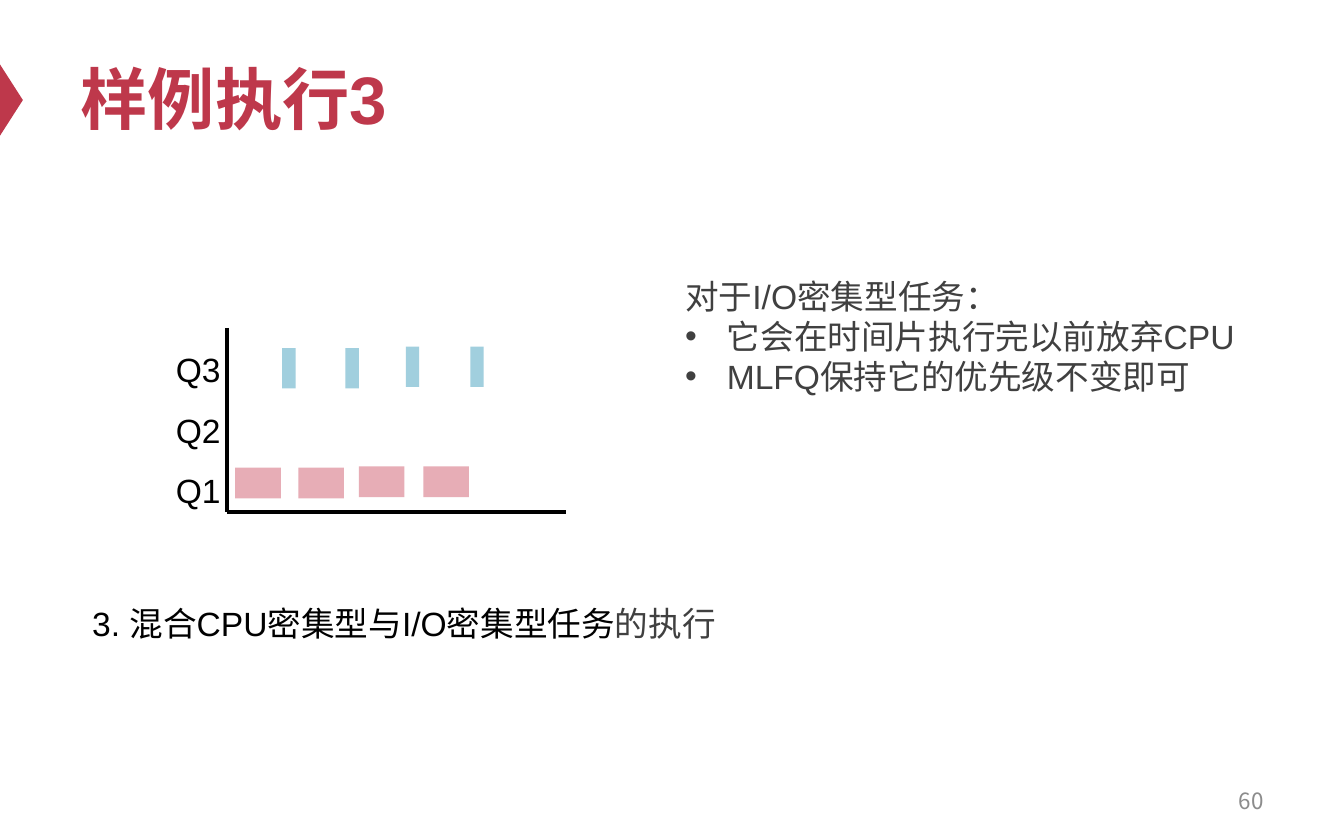
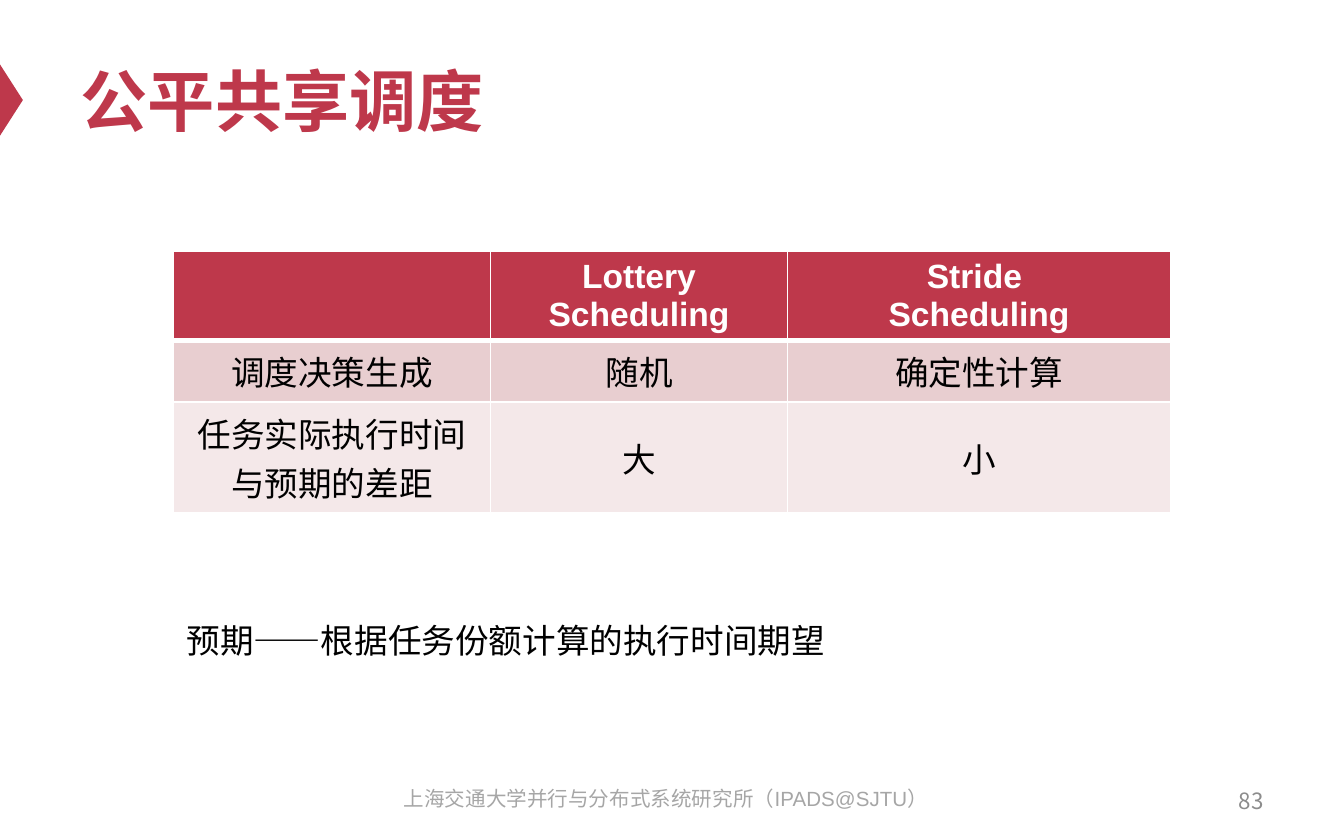
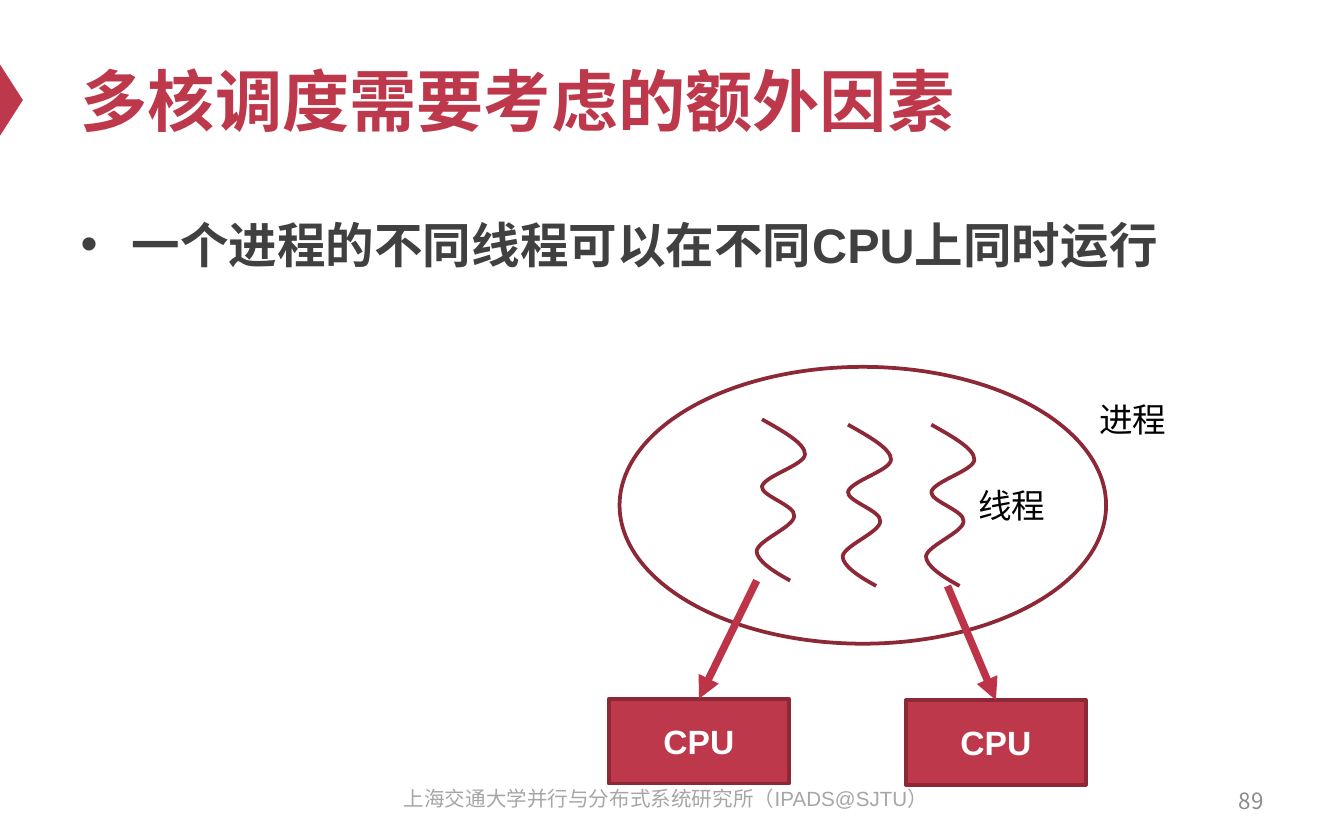
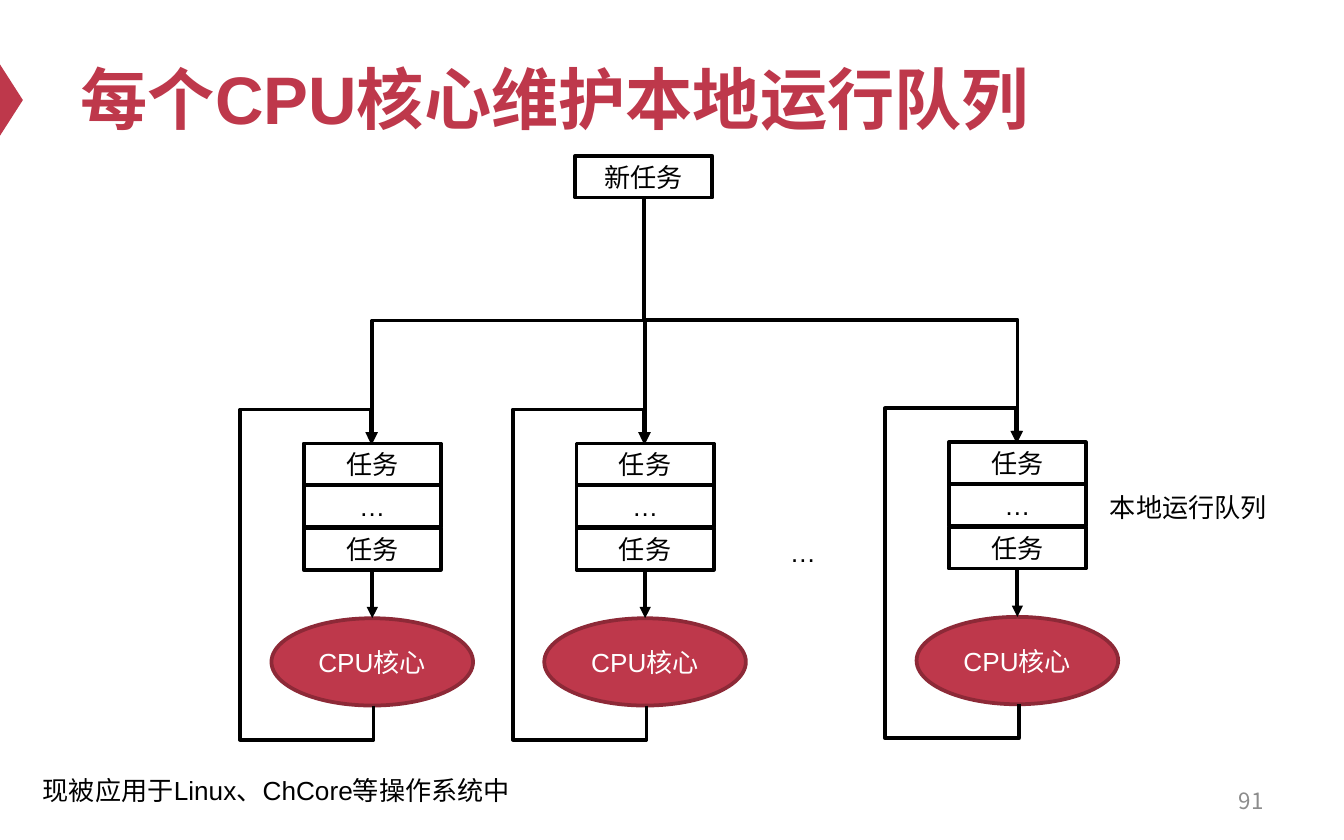
from lxml import etree
from pptx import Presentation
from pptx.dml.color import RGBColor
from pptx.enum.shapes import MSO_CONNECTOR, MSO_SHAPE
from pptx.enum.text import MSO_ANCHOR, MSO_AUTO_SIZE, PP_ALIGN
from pptx.oxml.ns import qn
from pptx.util import Inches, Pt

# Style shared by all slides
RED = RGBColor(0xBE, 0x38, 0x4B)
ARROW_RED = RGBColor(0xBD, 0x33, 0x47)
DARK_RED = RGBColor(0x8D, 0x29, 0x37)
PINK = RGBColor(0xE7, 0xAD, 0xB6)
BLUE = RGBColor(0xA1, 0xCF, 0xDE)
ROW_FILLS = [RED, RGBColor(0xE8, 0xCE, 0xD0), RGBColor(0xF4, 0xE8, 0xE9)]
WHITE = RGBColor(0xFF, 0xFF, 0xFF)
BLACK = RGBColor(0, 0, 0)
TEXT_GRAY = RGBColor(0x40, 0x40, 0x40)
FOOTER_GRAY = RGBColor(0xA6, 0xA6, 0xA6)
NUMBER_GRAY = RGBColor(0x8C, 0x8C, 0x8C)
LATIN_FONT = "Arial"
CHINESE_FONT = "Noto Sans CJK SC"
FOOTER = "上海交通大学并行与分布式系统研究所（IPADS@SJTU）"

LEFT, CENTER, RIGHT = PP_ALIGN.LEFT, PP_ALIGN.CENTER, PP_ALIGN.RIGHT
TOP, MIDDLE = MSO_ANCHOR.TOP, MSO_ANCHOR.MIDDLE
RECTANGLE, OVAL = MSO_SHAPE.RECTANGLE, MSO_SHAPE.OVAL
TRIANGLE = MSO_SHAPE.ISOSCELES_TRIANGLE
STRAIGHT, ELBOW = MSO_CONNECTOR.STRAIGHT, MSO_CONNECTOR.ELBOW
NO_AUTOFIT = MSO_AUTO_SIZE.NONE
CONTENT_LAYOUT, TITLE_LAYOUT = 1, 5


def add_xml(parent, tag, **attributes):
    return etree.SubElement(parent, qn(tag), attributes)


def write(frame, paragraphs, size=18, color=BLACK, bold=False, font=LATIN_FONT,
          align=LEFT, anchor=TOP, spacing=None, bullets_from=None, indent=0.31):
    """Each paragraph is a string or a list of (text, colour) spans."""
    frame.word_wrap = True
    frame.auto_size = NO_AUTOFIT
    frame.vertical_anchor = anchor
    for index, spans in enumerate(paragraphs):
        para = frame.add_paragraph() if index else frame.paragraphs[0]
        if bullets_from is not None and index >= bullets_from:
            properties = para._p.get_or_add_pPr()
            properties.set("marL", str(Inches(indent)))
            properties.set("indent", str(-Inches(indent)))
            add_xml(properties, "a:buFont", typeface=LATIN_FONT)
            add_xml(properties, "a:buChar", char="•")
        para.alignment = align
        para.space_before = Pt(0)
        if spacing:
            para.line_spacing = spacing
        if isinstance(spans, str):
            spans = [(spans, color)]
        for text, span_color in spans:
            span = para.add_run()
            span.text = text
            span.font.size = Pt(size)
            span.font.bold = bold
            span.font.color.rgb = span_color
            span.font.name = font
            add_xml(span._r.get_or_add_rPr(), "a:ea", typeface=CHINESE_FONT)


def set_borders(cell, bottom_width):
    properties = cell._tc.get_or_add_tcPr()
    widths = {"a:lnL": 1, "a:lnR": 1, "a:lnT": 1, "a:lnB": bottom_width}
    for position, (tag, width) in enumerate(widths.items()):
        border = etree.Element(qn(tag), w=str(Pt(width)))
        add_xml(add_xml(border, "a:solidFill"), "a:srgbClr", val=str(WHITE))
        properties.insert(position, border)


class Deck:
    def __init__(self):
        self.file = Presentation()
        self.file.slide_width, self.file.slide_height = Inches(10), Inches(6.25)
        self.page = None

    def new_page(self, title, number, title_top=0.25, title_height=0.98,
                 footer=True, layout=TITLE_LAYOUT):
        first = self.page is None
        self.page = self.file.slides.add_slide(self.file.slide_layouts[layout])
        if first:
            self.mark_master()
        self.placeholder(0, 0.5, title_top, 9, title_height, [title], size=36,
                         color=RED, bold=True, anchor=MIDDLE)
        self.text(7.17, 5.79, 2.33, 0.33, [str(number)], size=12, color=NUMBER_GRAY,
                  font=CHINESE_FONT, align=RIGHT, anchor=MIDDLE)
        if footer:
            self.text(2.79, 5.8, 4.33, 0.33, [FOOTER], size=11,
                      color=FOOTER_GRAY, align=CENTER)

    def mark_master(self):
        """Move the red title marker to the master, which all slides share."""
        marker = self.shape(TRIANGLE, -0.18, 0.66, 0.53, 0.17, fill=RED)
        marker.rotation = 90
        self.file.slide_master.shapes.element.append(marker.element)

    def placeholder(self, index, x, y, width, height, paragraphs, **style):
        box = self.page.placeholders[index]
        box.left, box.top = Inches(x), Inches(y)
        box.width, box.height = Inches(width), Inches(height)
        write(box.text_frame, paragraphs, **style)

    def text(self, x, y, width, height, paragraphs, **style):
        box = self.page.shapes.add_textbox(Inches(x), Inches(y),
                                           Inches(width), Inches(height))
        write(box.text_frame, paragraphs, **style)

    def paint(self, shape, fill=None, line=None):
        shape.shadow.inherit = False
        if fill is None:
            shape.fill.background()
        else:
            shape.fill.solid()
            shape.fill.fore_color.rgb = fill
        if line is None:
            shape.line.fill.background()
        else:
            shape.line.color.rgb = line
            shape.line.width = Pt(2)

    def shape(self, kind, x, y, width, height, fill=None, line=None, label=None, **style):
        shape = self.page.shapes.add_shape(kind, Inches(x), Inches(y),
                                           Inches(width), Inches(height))
        self.paint(shape, fill, line)
        if label:
            write(shape.text_frame, [label], align=CENTER, anchor=MIDDLE, **style)
        return shape

    def line(self, start, end, color=BLACK, width=2, arrow=False, kind=STRAIGHT):
        line = self.page.shapes.add_connector(
            kind, *(Inches(value) for value in (*start, *end)))
        line.line.color.rgb = color
        line.line.width = Pt(width)
        properties = line.element.spPr
        if arrow:
            add_xml(properties.find(qn("a:ln")), "a:tailEnd", type="triangle")
        add_xml(properties, "a:effectLst")
        return line

    def elbow(self, start, end, bends=(0.5,)):
        """Arrow that leaves and arrives vertically: a turned, mirrored connector."""
        (x1, y1), (x2, y2) = start, end
        length, breadth = abs(y2 - y1), abs(x2 - x1)
        left, top = (x1 + x2 - length) / 2, (y1 + y2 - breadth) / 2
        line = self.line((left, top), (left + length, top + breadth),
                         arrow=True, kind=ELBOW)
        properties = line.element.spPr
        frame = properties.find(qn("a:xfrm"))
        rightward, upward = x2 > x1, y2 < y1
        frame.set("rot", str((270 if rightward else 90) * 60000))
        if rightward or upward:
            frame.set("flipH", "1")
        geometry = properties.find(qn("a:prstGeom"))
        geometry.set("prst", f"bentConnector{len(bends) + 2}")
        guides = geometry.find(qn("a:avLst"))
        if guides is None:
            guides = add_xml(geometry, "a:avLst")
        for number, bend in enumerate(bends, 1):
            add_xml(guides, "a:gd", name=f"adj{number}",
                    fmla=f"val {round(bend * 100000)}")

    def curve(self, x, y, start, points):
        """Cubic outline: every three points, relative to (x, y), form one segment."""
        builder = self.page.shapes.build_freeform(Inches(x + start[0]), Inches(y + start[1]))
        builder.add_line_segments([(Inches(x + px), Inches(y + py)) for px, py in points],
                                  close=False)
        shape = builder.convert_to_shape()
        self.paint(shape, line=DARK_RED)
        # Turn each three straight steps into one cubic segment
        steps = list(shape.element.iter(qn("a:lnTo")))
        for first in range(0, len(steps), 3):
            outline = steps[first].getparent()
            cubic = add_xml(outline, "a:cubicBezTo")
            for step in steps[first:first + 3]:
                cubic.append(step[0])
                outline.remove(step)

    def table(self, x, y, widths, row_height, rows):
        frame = self.page.shapes.add_table(
            len(rows), len(widths), Inches(x), Inches(y),
            Inches(sum(widths)), Inches(row_height * len(rows)))
        table = frame.table
        for column, width in zip(table.columns, widths):
            column.width = Inches(width)
        for row_index, row in enumerate(rows):
            header = row_index == 0
            for column_index, paragraphs in enumerate(row):
                cell = table.cell(row_index, column_index)
                cell.fill.solid()
                cell.fill.fore_color.rgb = ROW_FILLS[row_index]
                cell.vertical_anchor = MIDDLE
                set_borders(cell, bottom_width=3 if header else 1)
                if paragraphs:
                    write(cell.text_frame, paragraphs, bold=header, align=CENTER,
                          color=WHITE if header else BLACK, anchor=MIDDLE)


def mixed_tasks(deck):
    deck.new_page("样例执行3", 60, title_top=0.21, title_height=1.04, footer=False)
    deck.text(0.16, 4.38, 5.69, 0.7,
              [[("3. 混合CPU密集型与I/O密集型任务", BLACK), ("的执行", TEXT_GRAY)]],
              align=CENTER, spacing=1.2)
    deck.text(5, 2, 4.52, 1.01,
              ["对于I/O密集型任务：", "它会在时间片执行完以前放弃CPU", "MLFQ保持它的优先级不变即可"],
              color=TEXT_GRAY, bullets_from=1)
    # Queue timeline
    deck.text(1.21, 2.4, 0.6, 1.41, ["Q3", "Q2", "Q1"], spacing=1.5)
    origin = (1.69, 3.81)
    deck.line((1.69, 2.44), origin)
    deck.line(origin, (4.21, 3.81))
    for x, y in [(2.1, 2.59), (2.57, 2.59), (3.02, 2.58), (3.5, 2.58)]:
        deck.shape(RECTANGLE, x, y, 0.1, 0.3, fill=BLUE)
        deck.shape(RECTANGLE, x - 0.35, y + 0.89, 0.34, 0.23, fill=PINK)


def fair_share(deck):
    deck.new_page("公平共享调度", 83)
    deck.table(1.29, 1.87, [2.36, 2.21, 2.85], 0.41, [
        [[], ["Lottery", "Scheduling"], ["Stride ", "Scheduling"]],
        [["调度决策生成"], ["随机"], ["确定性计算"]],
        [["任务实际执行时间与预期的差距"], ["大"], ["小"]],
    ])
    deck.text(1.29, 4.56, 5.03, 0.4, ["预期——根据任务份额计算的执行时间期望"])


def multicore_factors(deck):
    deck.new_page("多核调度需要考虑的额外因素", 89, layout=CONTENT_LAYOUT)
    deck.placeholder(1, 0.5, 1.46, 9, 4.12, ["一个进程的不同线程可以在不同CPU上同时运行"],
                     size=26, color=TEXT_GRAY, bold=True, spacing=1.2,
                     bullets_from=0, indent=0.38)
    # Process with its threads
    deck.shape(OVAL, 4.61, 2.73, 3.62, 2.06, fill=WHITE, line=DARK_RED)
    wave = [
        (0.2, 0.09), (0.36, 0.18), (0.36, 0.26),
        (0.36, 0.34), (0.06, 0.42), (0.04, 0.5),
        (0.03, 0.57), (0.29, 0.64), (0.28, 0.72),
        (0.28, 0.8), (0.01, 0.9), (0, 0.98),
        (0, 1.05), (0.12, 1.13), (0.25, 1.2),
    ]
    for x, y in [(5.63, 3.12), (6.27, 3.16), (6.89, 3.16)]:
        deck.curve(x, y, (0.04, 0), wave)
    deck.text(8.08, 2.92, 0.79, 0.4, ["进程"])
    deck.text(7.18, 3.56, 0.79, 0.4, ["线程"])
    # Processors
    for x, y, start, end in [(4.53, 5.2, (5.63, 4.32), (5.2, 5.2)),
                             (6.74, 5.21, (7.05, 4.36), (7.41, 5.21))]:
        deck.shape(RECTANGLE, x, y, 1.34, 0.63, fill=RED, line=DARK_RED,
                   label="CPU", color=WHITE, bold=True)
        deck.line(start, end, color=ARROW_RED, width=4, arrow=True)


def local_queues(deck):
    deck.new_page("每个CPU核心维护本地运行队列", 91, title_top=0.21, title_height=1.04,
                  footer=False)
    box_width, box_height = 1.02, 0.31
    deck.shape(RECTANGLE, 4.28, 1.16, box_width, box_height, line=BLACK,
               label="新任务", size=14)
    # One local queue and core per column
    for x, y in [(2.26, 3.3), (4.29, 3.3), (7.06, 3.29)]:
        middle = x + box_width / 2
        for offset, label in [(0, "任务"), (0.31, "…"), (0.63, "任务")]:
            deck.shape(RECTANGLE, x, y + offset, box_width, box_height,
                       line=BLACK, label=label, size=14)
        deck.shape(OVAL, x - 0.24, y + 1.3, 1.5, 0.65, fill=RED, line=DARK_RED,
                   label="CPU核心", size=14, color=WHITE)
        deck.line((middle, y + 0.94), (middle, y + 1.3), arrow=True)
        deck.elbow((middle + 0.01, y + 1.95), (middle - 0.01, y), (-0.13, 49.5, 1.13))
        deck.elbow((4.79, 1.47), (middle, y))
    # Labels
    deck.text(5.67, 3.94, 0.61, 0.34, ["…"], size=14, align=CENTER)
    deck.text(8.16, 3.61, 1.38, 0.34, ["本地运行队列"], size=14)
    deck.text(0.22, 5.71, 3.77, 0.34, ["现被应用于Linux、ChCore等操作系统中"], size=14)


def main():
    deck = Deck()
    for build in (mixed_tasks, fair_share, multicore_factors, local_queues):
        build(deck)
    deck.file.save("out.pptx")


if __name__ == "__main__":
    main()
